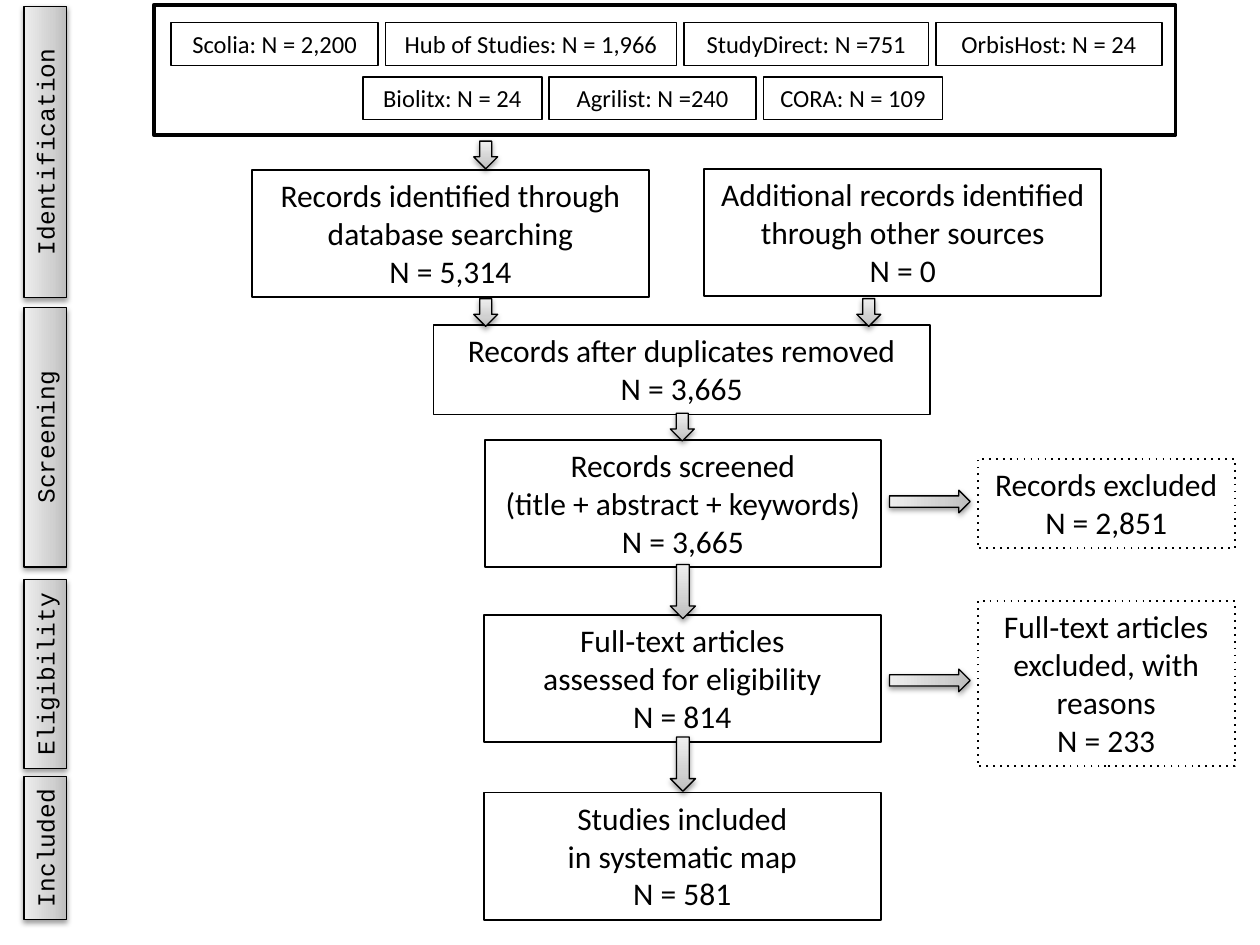
from lxml import etree
from pptx import Presentation
from pptx.dml.color import RGBColor
from pptx.enum.dml import MSO_LINE
from pptx.enum.shapes import MSO_SHAPE
from pptx.enum.text import MSO_ANCHOR, MSO_AUTO_SIZE, PP_ALIGN
from pptx.oxml import parse_xml
from pptx.oxml.ns import nsdecls
from pptx.util import Inches, Pt

BLACK = "000000"
GREYS = [(0, "BDBDBD"), (35, "D1D1D1"), (100, "EEEEEE")]

STAGES = [("Identification", 0.05, 2.31), ("Screening", 2.44, 2.06),
          ("Eligibility", 4.6, 1.5), ("Included", 6.16, 1.14)]

DATABASE_ROWS = [
    (1.36, 0.18, [("Scolia: N = 2,200", 1.64), ("Hub of Studies: N = 1,966", 2.31),
                  ("StudyDirect: N =751", 1.94), ("OrbisHost: N = 24", 1.79)]),
    (2.88, 0.61, [("Biolitx: N = 24", 1.42), ("Agrilist: N =240", 1.64),
                  ("CORA: N = 109", 1.42)]),
]
DATABASE_GAP = 0.06

STEPS = [
    (2, 1.35, 3.15, 1.01, ["Records identified through database searching", "N = 5,314"]),
    (5.59, 1.34, 3.15, 1.01, ["Additional records identified through other sources", "N = 0"]),
    (3.44, 2.58, 3.94, 0.71, ["Records after duplicates removed", "N = 3,665"]),
    (3.85, 3.49, 3.14, 1.01, ["Records screened", "(title + abstract + keywords)", "N = 3,665"]),
    (3.84, 4.88, 3.15, 1.01, ["Full‐text articles", "assessed for eligibility", "N = 814"]),
    (3.84, 6.29, 3.15, 1.01, ["Studies included", "in systematic map", "N = 581"]),
]
EXCLUSIONS = [
    (7.76, 3.64, 2.04, 0.71, ["Records excluded", "N = 2,851"]),
    (7.76, 4.77, 2.04, 1.31, ["Full‐text articles", "excluded, with reasons", "N = 233"]),
]

DOWN_ARROWS = [(3.76, 1.12, 0.19, 0.22), (3.76, 2.37, 0.19, 0.22), (6.8, 2.37, 0.19, 0.22),
               (5.32, 3.28, 0.19, 0.22), (5.32, 4.48, 0.2, 0.43), (5.32, 5.85, 0.2, 0.43)]
SIDE_ARROWS = [(7.06, 3.89, 0.64, 0.18), (7.06, 5.31, 0.64, 0.18)]


def rgb(value):
    return RGBColor.from_string(value)


def add_shape(kind, x, y, w, h, weight=1, turned=False):
    if turned:
        x, y, w, h = x + (w - h) / 2, y + (h - w) / 2, h, w
    sp = slide.shapes.add_shape(kind, Inches(x), Inches(y), Inches(w), Inches(h))
    sp.rotation = 270 if turned else 0
    sp.shadow.inherit = False
    sp.fill.background()
    sp.line.color.rgb = rgb(BLACK)
    sp.line.width = Pt(weight)
    return sp


def shade(sp):
    sp.fill.gradient()
    sp.fill.gradient_angle = 90
    stops = sp._element.spPr.find(".//{*}gsLst")
    for stop in list(stops):
        stops.remove(stop)
    for pos, color in GREYS:
        stops.append(parse_xml(f'<a:gs {nsdecls("a")} pos="{pos * 1000}">'
                               f'<a:srgbClr val="{color}"/></a:gs>'))
    effects = sp._element.spPr.find("{*}effectLst")
    effects.append(parse_xml(
        f'<a:outerShdw {nsdecls("a")} blurRad="40000" dist="20000" dir="5400000" '
        f'rotWithShape="0"><a:srgbClr val="{BLACK}"><a:alpha val="38000"/>'
        '</a:srgbClr></a:outerShdw>'))


def write(sp, lines, size, font="Calibri"):
    tf = sp.text_frame
    tf.text = "\n".join(lines)
    tf.word_wrap = True
    tf.auto_size = MSO_AUTO_SIZE.SHAPE_TO_FIT_TEXT
    tf.vertical_anchor = MSO_ANCHOR.TOP
    for p in tf.paragraphs:
        p.alignment = PP_ALIGN.CENTER
        for r in p.runs:
            r.font.size = Pt(size)
            r.font.name = font
            r.font.color.rgb = rgb(BLACK)


prs = Presentation()
prs.slide_width, prs.slide_height = Inches(10), Inches(7.5)
slide = prs.slides.add_slide(prs.slide_layouts[6])

add_shape(MSO_SHAPE.RECTANGLE, 1.22, 0.04, 8.11, 1.03, weight=2.25)

for x, y, databases in DATABASE_ROWS:
    for label, width in databases:
        write(add_shape(MSO_SHAPE.RECTANGLE, x, y, width, 0.34), [label], 14)
        x += width + DATABASE_GAP

for *box, lines in STEPS:
    write(add_shape(MSO_SHAPE.RECTANGLE, *box), lines, 18)

for *box, lines in EXCLUSIONS:
    sp = add_shape(MSO_SHAPE.RECTANGLE, *box)
    sp.line.dash_style = MSO_LINE.ROUND_DOT
    sp.line._ln.find("{*}prstDash").set("val", "dot")
    write(sp, lines, 18)

for name, top, length in STAGES:
    sp = add_shape(MSO_SHAPE.RECTANGLE, 0.19, top, 0.34, length, weight=0.75, turned=True)
    shade(sp)
    write(sp, [name], 14, "Courier New")

for arrows, turned in [(DOWN_ARROWS, False), (SIDE_ARROWS, True)]:
    for box in arrows:
        shade(add_shape(MSO_SHAPE.DOWN_ARROW, *box, weight=0.75, turned=turned))

prs.save("out.pptx")
